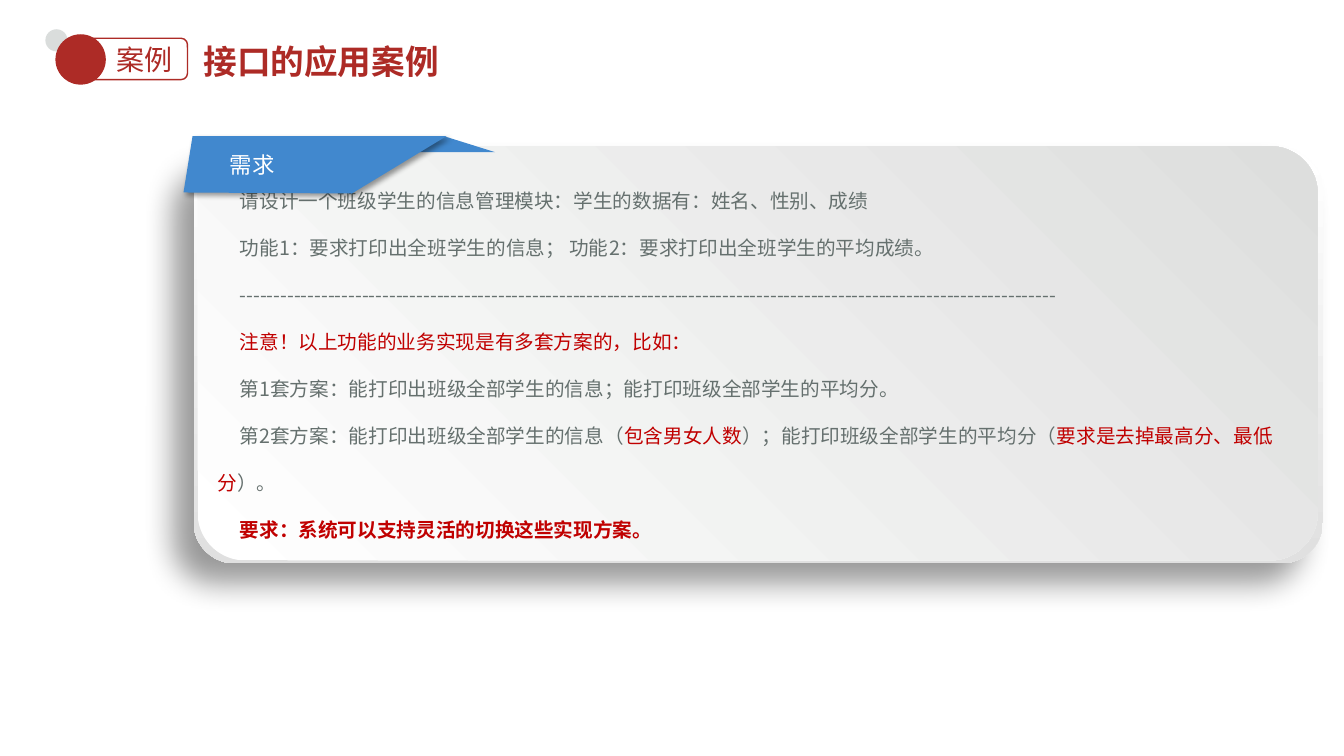
from lxml import etree
from pptx import Presentation, util as u
from pptx.dml.color import RGBColor
from pptx.enum import shapes, text
from pptx.oxml.ns import qn

COLORS = {"brand": "AD2B26", "dot": "DADDDC", "blue": "4188CE", "white": "FFFFFF",
          "edge": "E0E0E0", "panel": "DDDEDD", "body": "65706E", "alert": "C00000",
          "shadow": "000000"}
CJK_FONT = "Noto Sans CJK SC"
BODY_FONT = "Noto Sans CJK JP"

# Each paragraph is a list of (words, colour, bold)
REQUIREMENTS = [
    [("请设计一个班级学生的信息管理模块：学生的数据有：姓名、性别、成绩", "body", False)],
    [("功能1：要求打印出全班学生的信息； 功能2：要求打印出全班学生的平均成绩。", "body", False)],
    [("-" * 120, "body", False)],
    [("注意！以上功能的业务实现是有多套方案的，比如：", "alert", False)],
    [("第1套方案：能打印出班级全部学生的信息；能打印班级全部学生的平均分。", "body", False)],
    [("第2套方案：能打印出班级全部学生的信息（", "body", False),
     ("包含男女人数", "alert", False),
     ("）；能打印班级全部学生的平均分（", "body", False),
     ("要求是去掉最高分、最低分", "alert", False),
     ("）。", "body", False)],
    [("要求：系统可以支持灵活的切换这些实现方案。", "alert", True)],
]

# words, box, size, font, colour, bold, anchor
LABELS = {
    "badge": ("案例", (1.06, 0.37, 0.81, 0.44), 20, "Calibri", "brand", False, "TOP"),
    "title": ("接口的应用案例", (1.92, 0.35, 10.65, 0.52), 24, "Courier New", "brand", True, "MIDDLE"),
    "tab": ("需求", (2.18, 1.45, 1.51, 0.37), 16, CJK_FONT, "white", False, "TOP"),
}
FOLD = [(1.93, 1.35), (4.4, 1.35), (4.91, 1.51), (1.93, 1.51)]
TAB = [(1.91, 1.35), (4.43, 1.35), (3.49, 1.92), (1.82, 1.91)]


def color(name):
    return RGBColor.from_string(COLORS[name])


def paint(shape, fill=None, line=None):
    shape.shadow.inherit = False
    if fill:
        shape.fill.solid()
        shape.fill.fore_color.rgb = color(fill)
    else:
        shape.fill.background()
    if line:
        shape.line.color.rgb = color(line)
        shape.line.width = u.Pt(1)
    else:
        shape.line.fill.background()


def add_preset(slide, kind, box, fill=None, line=None, corner=None):
    shape = slide.shapes.add_shape(kind, *map(u.Inches, box))
    if corner is not None:
        shape.adjustments[0] = corner
    paint(shape, fill, line)
    return shape


def add_polygon(slide, points):
    corners = [(u.Inches(x), u.Inches(y)) for x, y in points]
    builder = slide.shapes.build_freeform(*corners[0])
    builder.add_line_segments(corners[1:], close=True)
    shape = builder.convert_to_shape()
    paint(shape, "blue")
    return shape


def add_gradient(shape, end, angle):
    """Run from white to the end colour; the angle is counter-clockwise."""
    shape.fill.gradient()
    shape.fill.gradient_angle = angle
    for stop, name, position in zip(shape.fill.gradient_stops, ("white", end), (0, 1)):
        stop.color.rgb = color(name)
        stop.position = position


def add_shadow(shape, blur, distance, direction):
    """Cast a 40 % black shadow; blur and distance in points."""
    effects = shape._element.spPr.find(qn("a:effectLst"))
    outer = etree.SubElement(effects, qn("a:outerShdw"), blurRad=str(u.Pt(blur)),
                             dist=str(u.Pt(distance)), dir=str(direction * 60000),
                             algn="ctr", rotWithShape="0")
    tint = etree.SubElement(outer, qn("a:srgbClr"), val=COLORS["shadow"])
    etree.SubElement(tint, qn("a:alpha"), val="40000")


def style_run(run, size, font, name, bold):
    run.font.size = u.Pt(size)
    run.font.name = font
    run.font.bold = bold
    run.font.color.rgb = color(name)
    latin = run.font._element.find(qn("a:latin"))
    east_asian = etree.Element(qn("a:ea"), typeface=CJK_FONT)
    latin.addnext(east_asian)


def add_label(slide, key):
    words, box, size, font, name, bold, anchor = LABELS[key]
    frame = slide.shapes.add_textbox(*map(u.Inches, box)).text_frame
    frame.word_wrap = True
    frame.vertical_anchor = text.MSO_ANCHOR[anchor]
    frame.text = words
    style_run(frame.paragraphs[0].runs[0], size, font, name, bold)


def fill_requirements(panel):
    frame = panel.text_frame
    frame.word_wrap = True
    frame.vertical_anchor = text.MSO_ANCHOR.MIDDLE
    frame.margin_left = frame.margin_right = u.Inches(0.06)
    frame.margin_top = frame.margin_bottom = u.Inches(0.03)
    for index, parts in enumerate(REQUIREMENTS):
        paragraph = frame.add_paragraph() if index else frame.paragraphs[0]
        paragraph.alignment = text.PP_ALIGN.LEFT
        paragraph.line_spacing = u.Pt(33.6)
        paragraph._p.get_or_add_pPr().set("indent", str(u.Inches(0.22)))
        for words, name, bold in parts:
            run = paragraph.add_run()
            run.text = words
            style_run(run, 14, BODY_FONT, name, bold)


def main():
    presentation = Presentation()
    presentation.slide_width = u.Inches(13.33)
    presentation.slide_height = u.Inches(7.5)
    slide = presentation.slides.add_slide(presentation.slide_layouts[6])
    oval = shapes.MSO_SHAPE.OVAL
    rounded = shapes.MSO_SHAPE.ROUNDED_RECTANGLE

    add_preset(slide, oval, (0.45, 0.29, 0.22, 0.22), "dot")
    add_preset(slide, rounded, (0.73, 0.38, 1.13, 0.41), line="brand", corner=0.15)
    add_preset(slide, oval, (0.55, 0.34, 0.5, 0.5), "brand")
    add_label(slide, "badge")
    add_label(slide, "title")

    backing = add_preset(slide, rounded, (1.92, 1.48, 11.2, 4.11), corner=0.1)
    add_gradient(backing, "edge", 270)
    add_shadow(backing, 22, 20, 135)
    panel = add_preset(slide, rounded, (1.96, 1.45, 11.11, 4.11), corner=0.115)
    add_gradient(panel, "panel", 45)
    fill_requirements(panel)

    add_polygon(slide, FOLD)
    add_shadow(add_polygon(slide, TAB), 4, 3, 45)
    add_label(slide, "tab")
    presentation.save("out.pptx")


if __name__ == "__main__":
    main()
